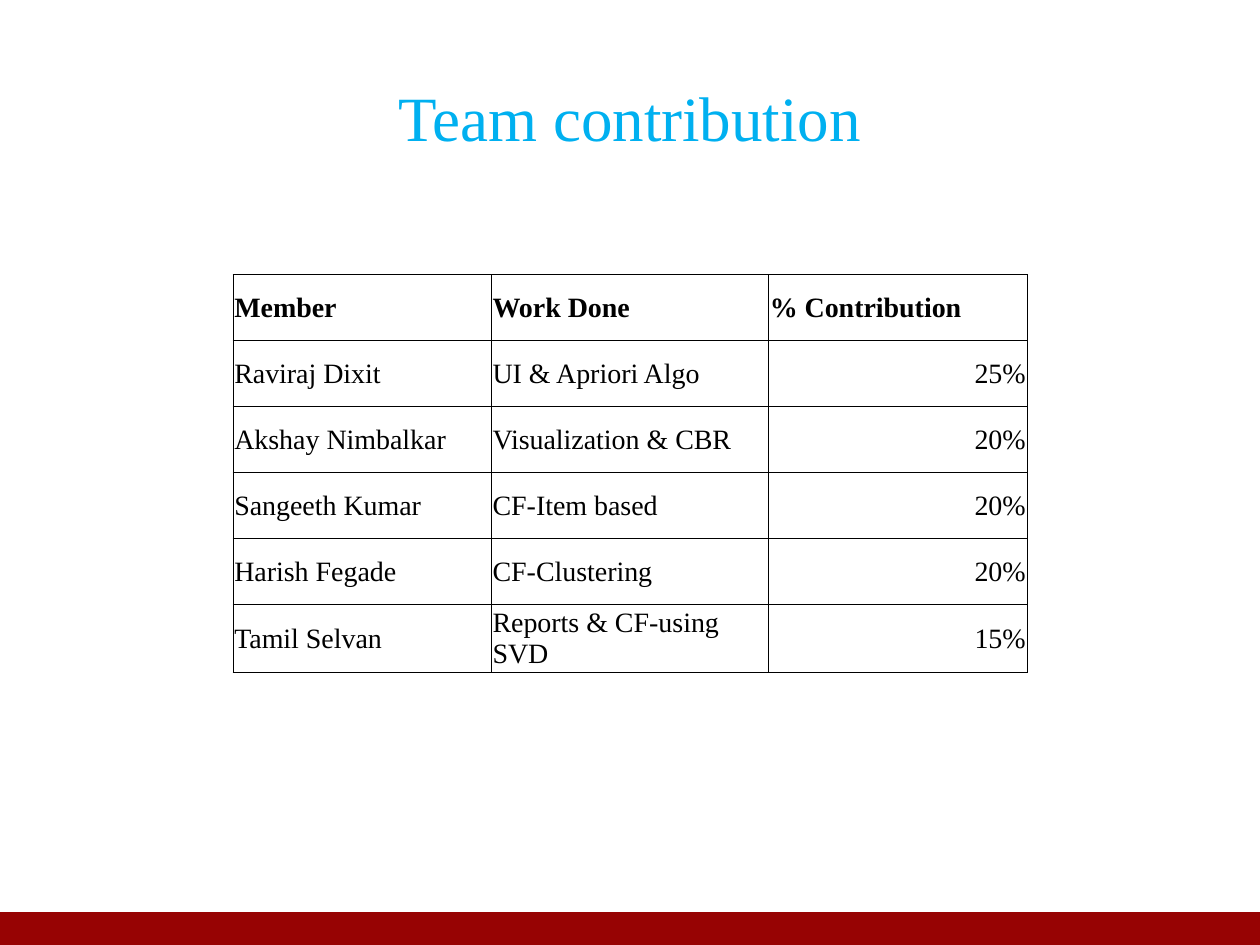
from lxml import etree
from pptx import Presentation
from pptx.dml.color import RGBColor
from pptx.enum import shapes, text
from pptx.oxml.ns import qn
from pptx.util import Pt

FONT = "Times New Roman"
ROWS = [
    ("Member", "Work Done", "% Contribution"),
    ("Raviraj Dixit", "UI & Apriori Algo", "25%"),
    ("Akshay Nimbalkar", "Visualization & CBR", "20%"),
    ("Sangeeth Kumar", "CF-Item based", "20%"),
    ("Harish Fegade", "CF-Clustering", "20%"),
    ("Tamil Selvan", "Reports & CF-using SVD", "15%"),
]
WIDTHS = (147.6, 158.4, 147.6)
ROW_H = 37.7


def paint(color, code):
    color.rgb = RGBColor.from_string(code)


def write(frame, words, size, code, align, bold=False):
    para = frame.paragraphs[0]
    para.alignment = align
    run = para.add_run()
    run.text = words
    run.font.name = FONT
    run.font.size = Pt(size)
    run.font.bold = bold
    paint(run.font.color, code)


def add_band(slide, code):
    band = slide.shapes.add_shape(
        shapes.MSO_SHAPE.RECTANGLE, Pt(0), Pt(522), Pt(720), Pt(18))
    band.shadow.inherit = False
    band.fill.solid()
    paint(band.fill.fore_color, code)
    paint(band.line.color, code)
    band.line.width = Pt(2)


def add_title(slide, words):
    box = slide.shapes.add_textbox(Pt(36), Pt(21.6), Pt(648), Pt(90))
    frame = box.text_frame
    frame.word_wrap = True
    frame.vertical_anchor = text.MSO_ANCHOR.MIDDLE
    write(frame, words, 36, "00B0F0", text.PP_ALIGN.CENTER)


def frame_cell(cell, code, width):
    """Draw a solid border on all four sides of a cell."""
    props = cell._tc.get_or_add_tcPr()
    for side in ("lnL", "lnR", "lnT", "lnB"):
        line = etree.SubElement(props, qn("a:" + side), w=str(Pt(width)))
        fill = etree.SubElement(line, qn("a:solidFill"))
        etree.SubElement(fill, qn("a:srgbClr"), val=code)


def fill_cell(cell, words, head, right):
    cell.margin_left = cell.margin_right = cell.margin_top = Pt(0.7)
    cell.margin_bottom = Pt(0)
    cell.vertical_anchor = text.MSO_ANCHOR.MIDDLE
    frame_cell(cell, "000000", 0.5)
    cell.fill.background()
    align = text.PP_ALIGN.RIGHT if right else text.PP_ALIGN.LEFT
    write(cell.text_frame, words, 16, "000000", align, head)


def add_grid(slide, rows):
    grid = slide.shapes.add_table(
        len(rows), len(WIDTHS), Pt(133.2), Pt(156.8),
        Pt(sum(WIDTHS)), Pt(ROW_H * len(rows))).table
    grid.horz_banding = False
    grid.first_row = False
    for col, width in zip(grid.columns, WIDTHS):
        col.width = Pt(width)
    for r, row in enumerate(rows):
        grid.rows[r].height = Pt(ROW_H)
        for c, words in enumerate(row):
            fill_cell(grid.cell(r, c), words, r == 0, r > 0 and c == 2)


def main():
    deck = Presentation()
    deck.slide_width, deck.slide_height = Pt(720), Pt(540)
    slide = deck.slides.add_slide(deck.slide_layouts[6])
    add_band(slide, "970303")
    add_title(slide, "Team contribution")
    add_grid(slide, ROWS)
    deck.save("out.pptx")


if __name__ == "__main__":
    main()
